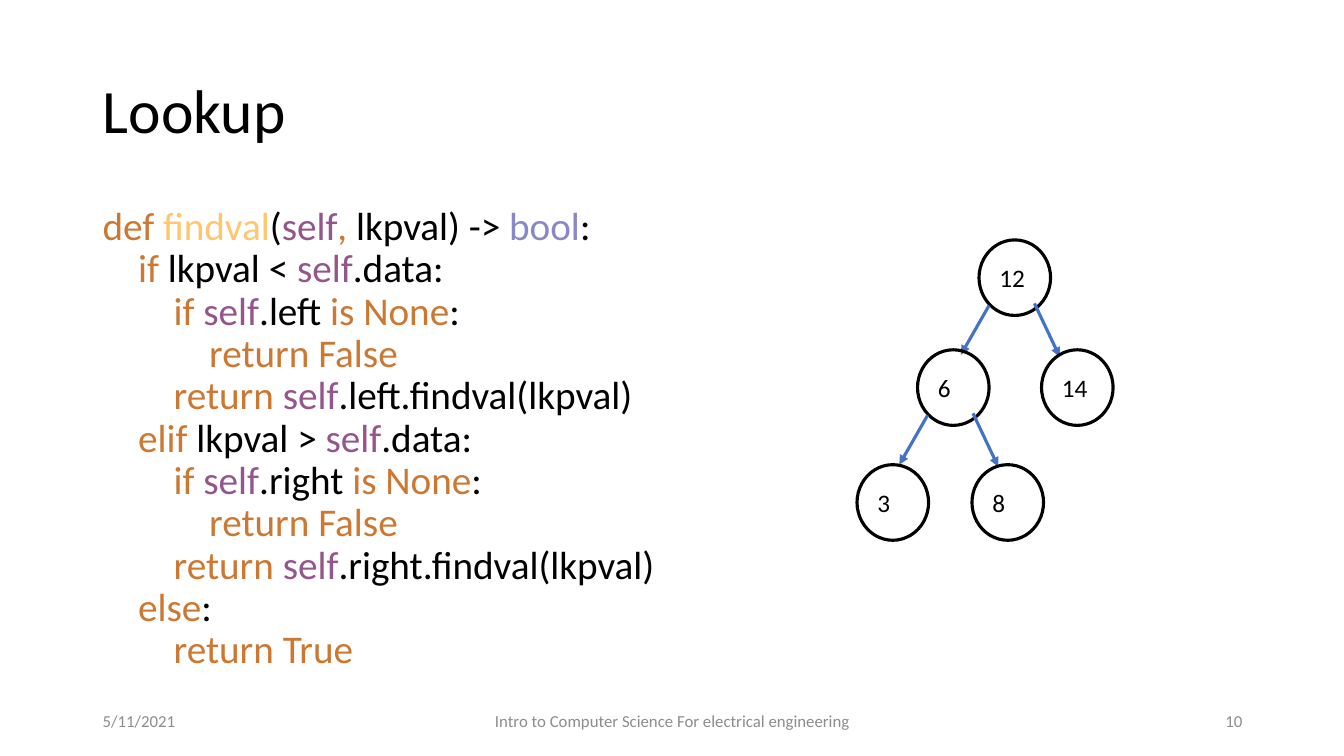
"""Build the Lookup slide: a recursive search method beside its binary tree."""
import pptx
import pptx.dml.color
import pptx.enum.shapes
import pptx.enum.text
import pptx.oxml.ns
import pptx.util
import lxml.etree

THEME = {
    "font": "Calibri", "title": 44, "code": 28, "node": 18, "footer": 12, "line": 2.25,
    "text": "000000", "muted": "8C8C8C", "edge": "4472C4",
    "keyword": "CC7832", "name": "FFC66D", "self": "94558D", "type": "8888C6",
}
ALIGN = pptx.enum.text.PP_ALIGN
MIDDLE = pptx.enum.text.MSO_ANCHOR.MIDDLE

prs = pptx.Presentation()
prs.slide_width = pptx.util.Inches(13.33)
prs.slide_height = pptx.util.Inches(7.5)
ROW = prs.slide_height / 75


def grid(*cells):
    """Turn grid cells into slide lengths."""
    return [round(c * ROW) for c in cells]


def style(r, size, color):
    """Give a run its font, size and colour."""
    r.font.name = THEME["font"]
    r.font.size = pptx.util.Pt(THEME[size])
    r.font.color.rgb = pptx.dml.color.RGBColor.from_string(THEME[color])


s = prs.slides.add_slide(prs.slide_layouts[5])

title = s.shapes.title
title.left, title.top, title.width, title.height = grid(9.2, 4, 115, 14.5)
tf = title.text_frame
tf.text = "Lookup"
tf.vertical_anchor = MIDDLE
p = tf.paragraphs[0]
p.alignment = ALIGN.LEFT
p.line_spacing = 0.9
style(p.runs[0], "title", "text")

footers = [
    (9.2, 30, "5/11/2021", ALIGN.LEFT),
    (44.2, 45, "Intro to Computer Science For electrical engineering", ALIGN.CENTER),
    (94.2, 30, "10", ALIGN.RIGHT),
]
for left, width, text, align in footers:
    tf = s.shapes.add_textbox(*grid(left, 69.5, width, 4)).text_frame
    tf.word_wrap = True
    tf.vertical_anchor = MIDDLE
    tf.text = text
    p = tf.paragraphs[0]
    p.alignment = align
    style(p.runs[0], "footer", "muted")

NODE_W, NODE_H = 7.1, 7.5
LEFT_EDGE = (1, 6.5, -1.8, 11.4)
RIGHT_EDGE = (5.5, 6.3, 8, 11.6)
nodes = [
    ("12", 97.1, 23.8, (LEFT_EDGE, RIGHT_EDGE)),
    ("6", 91, 34.7, (LEFT_EDGE, RIGHT_EDGE)),
    ("14", 103.3, 34.7, ()),
    ("3", 85, 46.1, ()),
    ("8", 96.4, 46.1, ()),
]
for value, x, y, edges in nodes:
    node = s.shapes.add_shape(pptx.enum.shapes.MSO_SHAPE.OVAL, *grid(x, y, NODE_W, NODE_H))
    node.shadow.inherit = False
    node.fill.background()
    node.line.color.rgb = pptx.dml.color.RGBColor.from_string(THEME["text"])
    node.line.width = pptx.util.Pt(THEME["line"])
    tf = node.text_frame
    tf.text = value
    tf.vertical_anchor = MIDDLE
    p = tf.paragraphs[0]
    p.alignment = ALIGN.LEFT
    style(p.runs[0], "node", "text")
    for x1, y1, x2, y2 in edges:
        edge = s.shapes.add_connector(
            pptx.enum.shapes.MSO_CONNECTOR.STRAIGHT, *grid(x + x1, y + y1, x + x2, y + y2))
        edge.line.color.rgb = pptx.dml.color.RGBColor.from_string(THEME["edge"])
        edge.line.width = pptx.util.Pt(THEME["line"])
        ln = edge.line._get_or_add_ln()
        lxml.etree.SubElement(ln, pptx.oxml.ns.qn("a:tailEnd"), type="triangle")
        lxml.etree.SubElement(edge._element.spPr, pptx.oxml.ns.qn("a:effectLst"))

SELF = ("self", "self")
RETURN_FALSE = (3, [("return False", "keyword")])
code = [(0, [("def ", "keyword"), ("findval", "name"), ("(", "text"), SELF, (", ", "keyword"),
             ("lkpval) -> ", "text"), ("bool", "type"), (":", "text")])]
for keyword, sign, side in (("if ", "<", "left"), ("elif ", ">", "right")):
    code += [
        (1, [(keyword, "keyword"), (f"lkpval {sign} ", "text"), SELF, (".data:", "text")]),
        (2, [("if ", "keyword"), SELF, (f".{side} ", "text"), ("is None", "keyword"), (":", "text")]),
        RETURN_FALSE,
        (2, [("return ", "keyword"), SELF, (f".{side}.findval(lkpval)", "text")]),
    ]
code += [(1, [("else", "keyword"), (":", "text")]), (2, [("return True", "keyword")])]

INDENT = 3.52
tf = s.shapes.add_textbox(*grid(9.2, 20, 69.5, 47.6)).text_frame
tf.word_wrap = True
for i, (level, parts) in enumerate(code):
    p = tf.add_paragraph() if i else tf.paragraphs[0]
    p.line_spacing = 0.9
    p._p.get_or_add_pPr().set("marL", str(*grid(level * INDENT)))
    for text, color in parts:
        r = p.add_run()
        r.text = text
        style(r, "code", color)

prs.save("out.pptx")
